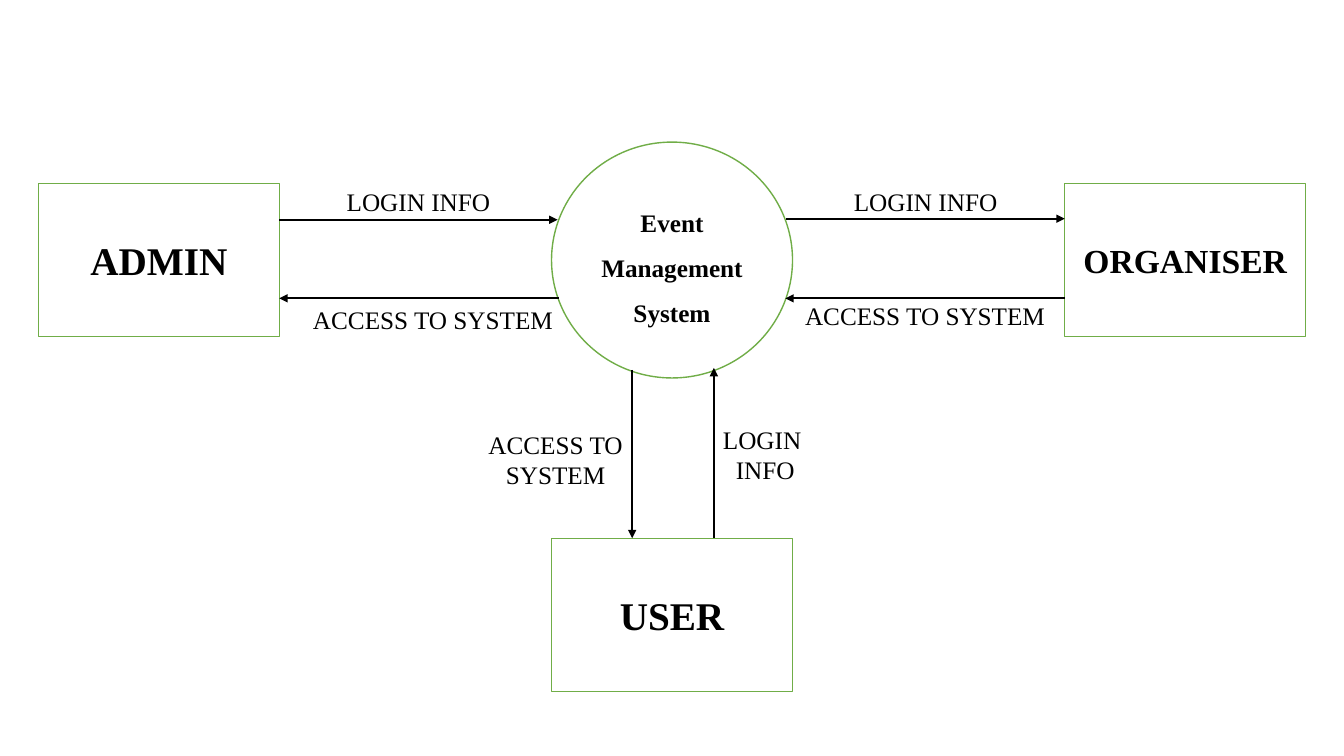
from pptx import Presentation
from pptx.dml.color import RGBColor
from pptx.enum.shapes import MSO_CONNECTOR, MSO_SHAPE
from pptx.enum.text import MSO_ANCHOR, MSO_AUTO_SIZE, PP_ALIGN
from pptx.oxml.ns import qn
from pptx.util import Inches, Pt
from lxml import etree

RECT, ELLIPSE = MSO_SHAPE.RECTANGLE, MSO_SHAPE.OVAL
STRAIGHT = MSO_CONNECTOR.STRAIGHT
CENTER, MIDDLE = PP_ALIGN.CENTER, MSO_ANCHOR.MIDDLE
GROW = MSO_AUTO_SIZE.SHAPE_TO_FIT_TEXT

BLACK = RGBColor(0x00, 0x00, 0x00)
WHITE = RGBColor(0xFF, 0xFF, 0xFF)
GREEN = RGBColor(0x70, 0xAD, 0x47)

NODE_W, NODE_H = 2.39, 1.52


class Diagram:
    font = "Times New Roman"
    label_size = 18

    def __init__(self, slide):
        self.s = slide

    def set_text(self, tf, text, size, bold=False, spacing=None):
        tf.word_wrap = True
        tf.text = text
        for p in tf.paragraphs:
            p.alignment = CENTER
            if spacing:
                p.line_spacing = spacing
            for r in p.runs:
                r.font.name = self.font
                r.font.size = Pt(size)
                r.font.bold = bold
                r.font.color.rgb = BLACK

    def node(self, kind, x, y, h, text, size, spacing=None):
        sp = self.s.shapes.add_shape(kind, Inches(x), Inches(y), Inches(NODE_W), Inches(h))
        sp.shadow.inherit = False
        sp.fill.solid()
        sp.fill.fore_color.rgb = WHITE
        sp.line.color.rgb = GREEN
        sp.line.width = Pt(1)
        sp.text_frame.vertical_anchor = MIDDLE
        self.set_text(sp.text_frame, text, size, True, spacing)

    def arrow(self, x1, y1, x2, y2):
        c = self.s.shapes.add_connector(STRAIGHT, Inches(x1), Inches(y1), Inches(x2), Inches(y2))
        c.line.color.rgb = BLACK
        c.line.width = Pt(1.5)
        props = c.element.spPr
        etree.SubElement(props.find(qn("a:ln")), qn("a:tailEnd"), type="triangle")
        etree.SubElement(props, qn("a:effectLst"))

    def label(self, x, y, w, h, text):
        tb = self.s.shapes.add_textbox(Inches(x), Inches(y), Inches(w), Inches(h))
        self.set_text(tb.text_frame, text, self.label_size)
        tb.text_frame.auto_size = GROW


def main():
    prs = Presentation()
    prs.slide_width, prs.slide_height = Inches(13.33), Inches(7.5)
    d = Diagram(prs.slides.add_slide(prs.slide_layouts[6]))

    # System and the three parties around it
    d.node(ELLIPSE, 5.47, 1.41, 2.34, "Event\nManagement\nSystem", 18, 1.5)
    for x, y, text, size in [
        (0.38, 1.82, "ADMIN", 28),
        (5.47, 5.34, "USER", 28),
        (10.56, 1.82, "ORGANISER", 24),
    ]:
        d.node(RECT, x, y, NODE_H, text, size)

    # Data flows
    for ends in [
        (2.77, 2.18, 5.53, 2.18),
        (7.8, 2.17, 10.56, 2.17),
        (10.56, 2.96, 7.79, 2.96),
        (5.54, 2.96, 2.77, 2.96),
        (6.27, 3.67, 6.27, 5.34),
        (7.08, 5.34, 7.08, 3.65),
    ]:
        d.arrow(*ends)

    # Flow labels
    for x, y, w, h, text in [
        (3.11, 1.8, 2.08, 0.4, "LOGIN INFO"),
        (8.14, 1.8, 2.08, 0.4, "LOGIN INFO"),
        (6.55, 4.16, 2.08, 0.71, "LOGIN \nINFO"),
        (4.47, 4.21, 2.08, 0.71, "ACCESS TO\nSYSTEM"),
        (2.91, 2.97, 2.77, 0.4, "ACCESS TO SYSTEM"),
        (7.79, 2.93, 2.77, 0.4, "ACCESS TO SYSTEM"),
    ]:
        d.label(x, y, w, h, text)

    prs.save("out.pptx")


if __name__ == "__main__":
    main()
